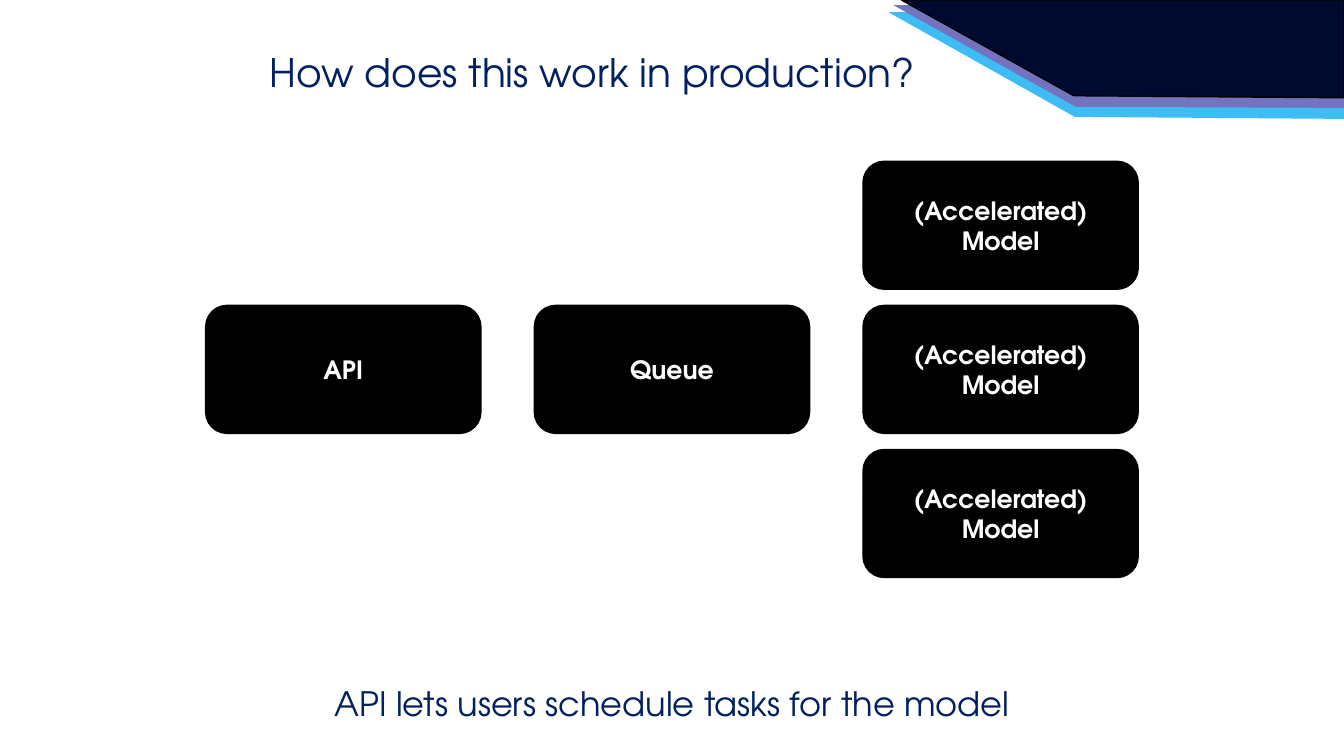
"""Builds the slide on how an accelerated model runs in production."""
from dataclasses import dataclass

from pptx import Presentation
from pptx.dml.color import RGBColor
from pptx.enum.shapes import MSO_SHAPE
from pptx.enum.text import MSO_ANCHOR, MSO_AUTO_SIZE, PP_ALIGN
from pptx.util import Inches, Pt

ROUNDED = MSO_SHAPE.ROUNDED_RECTANGLE
TOP, MIDDLE = MSO_ANCHOR.TOP, MSO_ANCHOR.MIDDLE
NO_AUTOFIT = MSO_AUTO_SIZE.NONE
CENTER = PP_ALIGN.CENTER


@dataclass(frozen=True)
class Theme:
    """Colours, font and type sizes of the slide."""
    font: str = "TeX Gyre Adventor"
    heading: str = "002060"
    box: str = "000000"
    box_text: str = "FFFFFF"
    sky: str = "3EBDF5"
    violet: str = "7373C0"
    night: str = "000A2F"
    title_size: int = 28
    caption_size: int = 24
    box_size: int = 18
    outline: int = 1


class SlideBuilder:
    """Draws styled elements on the current slide."""

    def __init__(self, slide, theme):
        """Keep the slide and its theme."""
        self.slide = slide
        self.theme = theme

    def label(self, frame, text, size, color, bold=False, anchor=TOP):
        """Put one centred paragraph into a text frame."""
        frame_format = {"word_wrap": True, "auto_size": NO_AUTOFIT, "vertical_anchor": anchor}
        for key, value in frame_format.items():
            setattr(frame, key, value)
        paragraph = frame.paragraphs[0]
        paragraph.alignment = CENTER
        run = paragraph.add_run()
        run.text = text
        font_format = {"name": self.theme.font, "size": Pt(size), "bold": bold}
        for key, value in font_format.items():
            setattr(run.font, key, value)
        run.font.color.rgb = RGBColor.from_string(color)

    def paint(self, shape, fill, line=None):
        """Set fill and outline and drop the shadow."""
        shape.shadow.inherit = False
        shape.fill.solid()
        shape.fill.fore_color.rgb = RGBColor.from_string(fill)
        if line:
            shape.line.color.rgb = RGBColor.from_string(line)
            shape.line.width = Pt(self.theme.outline)
        else:
            shape.line.fill.background()

    def title(self, text, left, top, width, height):
        """Place and fill the title placeholder."""
        heading = self.slide.shapes.title
        place = {"left": left, "top": top, "width": width, "height": height}
        for key, value in place.items():
            setattr(heading, key, Inches(value))
        self.label(heading.text_frame, text, self.theme.title_size, self.theme.heading)

    def caption(self, text, *place):
        """Add a line of text."""
        caption = self.slide.shapes.add_textbox(*map(Inches, place))
        self.label(caption.text_frame, text, self.theme.caption_size, self.theme.heading)

    def box(self, text, *place):
        """Add a rounded box with a bold label."""
        box = self.slide.shapes.add_shape(ROUNDED, *map(Inches, place))
        self.paint(box, self.theme.box, self.theme.box)
        self.label(box.text_frame, text, self.theme.box_size, self.theme.box_text, True, MIDDLE)

    def band(self, corners, fill, line=None):
        """Add a closed polygon."""
        start, *rest = [(Inches(x), Inches(y)) for x, y in corners]
        outline = self.slide.shapes.build_freeform(*start)
        outline.add_line_segments(rest, close=True)
        self.paint(outline.convert_to_shape(), fill, line)


def main():
    """Compose the slide and save it."""
    page_width = 13.33
    deck = Presentation()
    deck.slide_width, deck.slide_height = Inches(page_width), Inches(7.5)
    theme = Theme()
    builder = SlideBuilder(deck.slides.add_slide(deck.slide_layouts[5]), theme)

    corner_bands = [
        (0.12, 8.81, (10.66, 1.16), 1.18, theme.sky, None),
        (0.05, 8.86, (10.67, 1.06), 1.07, theme.violet, None),
        (0, 8.94, (10.65, 0.95), 0.97, theme.night, theme.box),
    ]
    for top, tip, bend, bottom, fill, line in corner_bands:
        corners = [(page_width, bottom), (page_width, top), (tip, top), bend]
        builder.band(corners, fill, line)

    builder.title("How does this work in production?", 0.6, 0.43, 10.55, 0.57)
    builder.caption("API lets users schedule tasks for the model", 0, 6.73, page_width, 0.5)

    box_width, box_height = 2.73, 1.27
    first_left, middle_top = 2.04, 3.03
    column_step, row_step = 3.26, 1.43
    model = "(Accelerated) Model"
    stages = [("API", 0, 0), ("Queue", 1, 0), (model, 2, -1), (model, 2, 0), (model, 2, 1)]
    for stage, column, row in stages:
        left = first_left + column * column_step
        top = middle_top + row * row_step
        builder.box(stage, left, top, box_width, box_height)

    deck.save("out.pptx")


if __name__ == "__main__":
    main()
